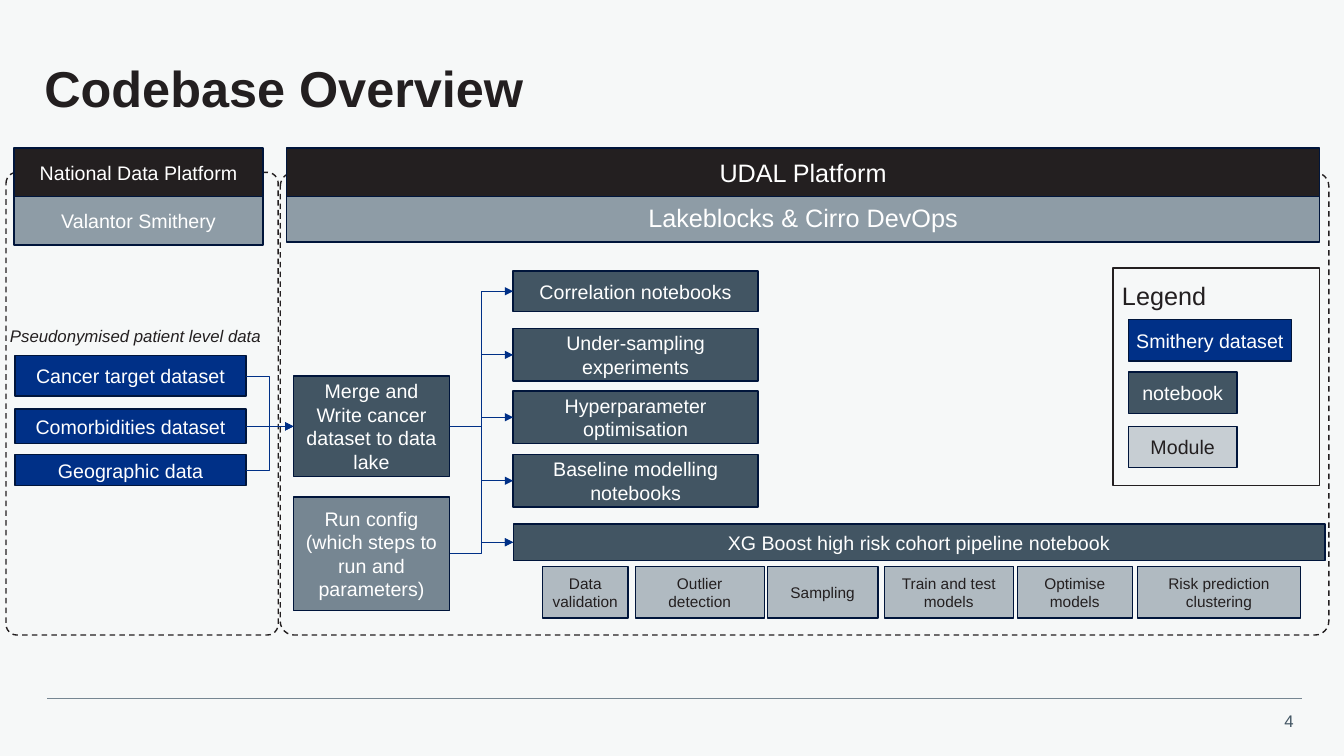
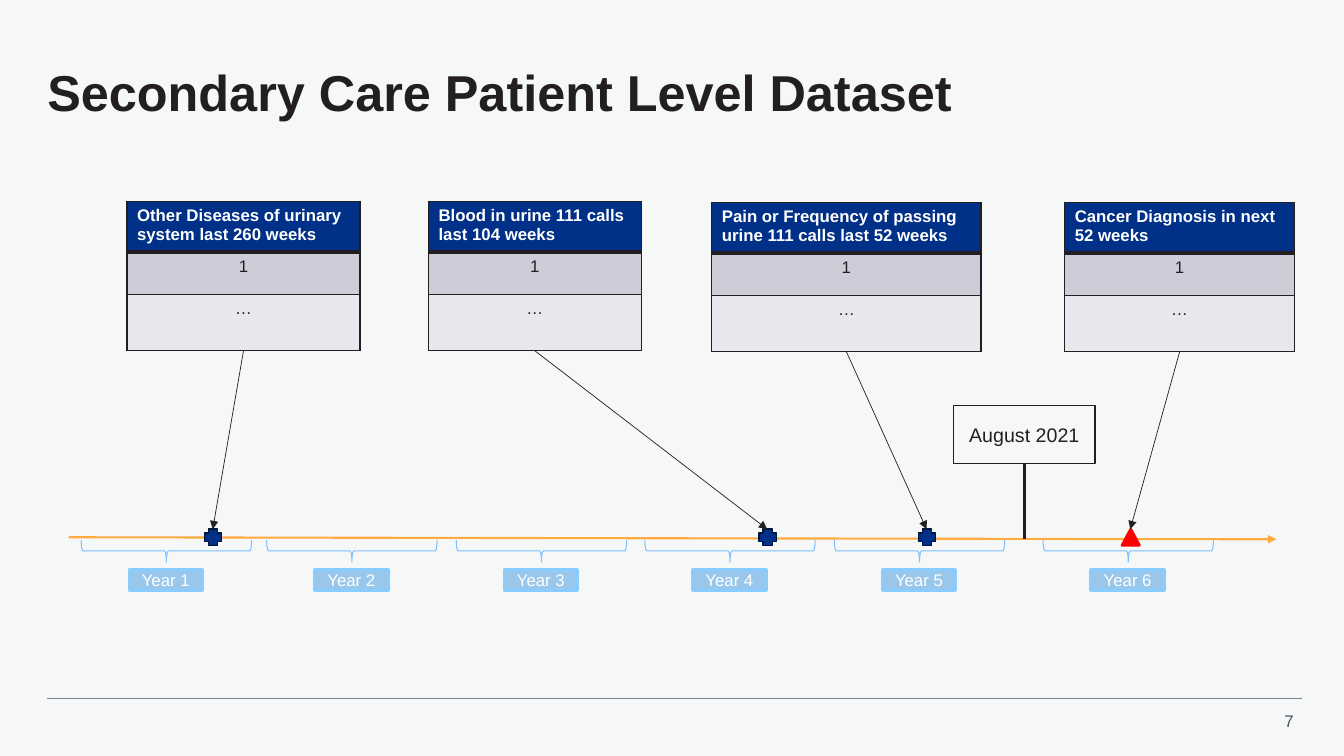
"""Builds two slides: a codebase overview and a patient dataset timeline."""
from dataclasses import dataclass

from pptx import Presentation
from pptx.dml.color import RGBColor
from pptx.enum.dml import MSO_LINE
from pptx.enum.shapes import MSO_CONNECTOR, MSO_SHAPE
from pptx.enum.text import MSO_ANCHOR, PP_ALIGN
from pptx.oxml.ns import qn
from pptx.oxml.xmlchemy import OxmlElement
from pptx.util import Inches, Pt

RECTANGLE = MSO_SHAPE.RECTANGLE
ROUNDED = MSO_SHAPE.ROUNDED_RECTANGLE
BRACE = MSO_SHAPE.RIGHT_BRACE
CROSS = MSO_SHAPE.CROSS
TRIANGLE = MSO_SHAPE.ISOSCELES_TRIANGLE
STRAIGHT = MSO_CONNECTOR.STRAIGHT
ELBOW = MSO_CONNECTOR.ELBOW
LEFT, CENTER, RIGHT = PP_ALIGN.LEFT, PP_ALIGN.CENTER, PP_ALIGN.RIGHT
MIDDLE, TOP = MSO_ANCHOR.MIDDLE, MSO_ANCHOR.TOP
DASH = MSO_LINE.DASH
SIDE_LEFT, SIDE_BOTTOM, SIDE_RIGHT = 1, 2, 3


@dataclass(frozen=True)
class Theme:
    font: str = "Arial"
    background: str = "F6F8F8"
    ink: str = "231F20"
    white: str = "FFFFFF"
    blue: str = "003087"
    outline: str = "00153B"
    slate: str = "425563"
    steel: str = "768692"
    band: str = "8E9CA6"
    module: str = "B0BAC1"
    legend_module: str = "C7CED3"
    axis: str = "FFAB40"
    year: str = "99C7EB"
    year_line: str = "89CCFF"
    brace: str = "7DBFFF"
    alert: str = "FF0000"
    row_dark: str = "CCCDD9"
    row_light: str = "E7E8ED"
    title_size: int = 36
    large: int = 18
    body: int = 14
    small: int = 12
    tiny: int = 11


THEME = Theme()


class Deck:
    """Holds the style and the current slide, and draws each kind of element."""

    def __init__(self, theme):
        self.theme = theme
        self.presentation = Presentation()
        self.presentation.slide_width = Inches(13.33)
        self.presentation.slide_height = Inches(7.5)
        fill = self.presentation.slide_master.background.fill
        fill.solid()
        fill.fore_color.rgb = RGBColor.from_string(theme.background)
        self.slide = None

    def start_slide(self, title, number, left, top):
        layout = self.presentation.slide_layouts[6]
        self.slide = self.presentation.slides.add_slide(layout)
        self.connector((0.47, 6.93), (12.91, 6.93), self.theme.steel, 0.5, arrow=False)
        self.label(number, (12.52, 7, 0.41, 0.3), self.theme.small,
                   self.theme.slate, align=RIGHT)
        heading = self.label(title, (left, top, 12.47, 0.95), self.theme.title_size,
                             bold=True, anchor=MIDDLE)
        frame = heading.text_frame
        frame.word_wrap = True
        frame.margin_left = frame.margin_right = 0
        frame.margin_top = frame.margin_bottom = 0
        frame.paragraphs[0].line_spacing = 0.9

    def set_text(self, frame, text, size, color, align, bold=False, italic=False):
        frame.text = text
        for paragraph in frame.paragraphs:
            paragraph.alignment = align
            for run in paragraph.runs:
                font = run.font
                font.name = self.theme.font
                font.size = Pt(size)
                font.bold = bold
                font.italic = italic
                font.color.rgb = RGBColor.from_string(color)

    def label(self, text, bounds, size, color=None, align=LEFT, bold=False,
              italic=False, anchor=TOP):
        shape = self.slide.shapes.add_textbox(*map(Inches, bounds))
        shape.text_frame.word_wrap = False
        shape.text_frame.vertical_anchor = anchor
        self.set_text(shape.text_frame, text, size, color or self.theme.ink,
                      align, bold, italic)
        return shape

    def shape(self, kind, bounds, fill=None, line=None, width=1):
        shape = self.slide.shapes.add_shape(kind, *map(Inches, bounds))
        shape.shadow.inherit = False
        if fill:
            shape.fill.solid()
            shape.fill.fore_color.rgb = RGBColor.from_string(fill)
        else:
            shape.fill.background()
        shape.line.color.rgb = RGBColor.from_string(line or self.theme.outline)
        shape.line.width = Pt(width)
        return shape

    def box(self, text, bounds, fill=None, size=None, color=None, line=None, width=1):
        shape = self.shape(RECTANGLE, bounds, fill, line, width)
        shape.text_frame.word_wrap = True
        shape.text_frame.vertical_anchor = MIDDLE
        self.set_text(shape.text_frame, text, size or self.theme.body,
                      color or self.theme.white, CENTER)
        return shape

    def zone(self, bounds, rounding):
        shape = self.shape(ROUNDED, bounds, line=self.theme.ink)
        shape.adjustments[0] = rounding
        shape.line.dash_style = DASH

    def connector(self, start, end, color, width, arrow=True, kind=STRAIGHT):
        line = self.slide.shapes.add_connector(kind, *map(Inches, (*start, *end)))
        line.line.color.rgb = RGBColor.from_string(color)
        line.line.width = Pt(width)
        properties = line.element.spPr
        if arrow:
            head = OxmlElement("a:tailEnd")
            head.set("type", "triangle")
            properties.find(qn("a:ln")).append(head)
        properties.append(OxmlElement("a:effectLst"))
        return line

    def link(self, source, target):
        line = self.connector((0, 0), (1, 1), self.theme.blue, 0.5, kind=ELBOW)
        line.begin_connect(source, SIDE_RIGHT)
        line.end_connect(target, SIDE_LEFT)

    def border(self, cell, widths):
        properties = cell._tc.get_or_add_tcPr()
        for side, width in zip("LRTB", widths):
            line = OxmlElement(f"a:ln{side}")
            line.set("w", str(Pt(width)))
            fill = OxmlElement("a:solidFill")
            color = OxmlElement("a:srgbClr")
            color.set("val", self.theme.ink)
            fill.append(color)
            line.append(fill)
            properties.append(line)

    def feature_table(self, heading, left, top, width):
        theme = self.theme
        heights = (0.48, 0.42, 0.56)
        frame = self.slide.shapes.add_table(
            3, 1, *map(Inches, (left, top, width, sum(heights))))
        table = frame.table
        table.horz_banding = False
        rows = (
            (heading, theme.blue, theme.white, LEFT, True, (1, 1, 1, 3)),
            ("1", theme.row_dark, theme.ink, CENTER, False, (1, 1, 3, 1)),
            ("…", theme.row_light, theme.ink, CENTER, False, (1, 1, 1, 1)),
        )
        for index, (text, fill, color, align, bold, widths) in enumerate(rows):
            table.rows[index].height = Inches(heights[index])
            cell = table.cell(index, 0)
            self.border(cell, widths)
            cell.fill.solid()
            cell.fill.fore_color.rgb = RGBColor.from_string(fill)
            self.set_text(cell.text_frame, text, theme.small, color, align, bold)

    def year(self, number, center):
        theme = self.theme
        self.box(f"Year {number}", (center - 0.37, 5.65, 0.73, 0.21), theme.year,
                 theme.small, line=theme.year_line, width=2)
        brace = self.shape(BRACE, (center - 0.11, 4.62, 0.22, 1.69),
                           line=theme.brace, width=0.75)
        brace.rotation = 90


def build_overview(deck):
    theme = deck.theme
    deck.start_slide("Codebase Overview", "4", 0.44, 0.43)
    deck.zone((0.06, 1.71, 2.7, 4.59), 0.04)
    deck.zone((2.78, 1.71, 10.4, 4.59), 0.03)

    platforms = (
        ("National Data Platform", "Valantor Smithery", 0.14, 2.47, 1.95, theme.body),
        ("UDAL Platform", "Lakeblocks & Cirro DevOps", 2.84, 10.25, 1.92, theme.large),
    )
    for name, tools, left, width, tools_top, size in platforms:
        deck.box(tools, (left, tools_top, width, 0.48), theme.band, size)
        deck.box(name, (left, 1.47, width, 0.48), theme.ink, size)

    deck.label("Pseudonymised patient level data", (0, 3.18, 2.71, 0.3),
               theme.small, italic=True)
    merge = deck.box("Merge and Write cancer dataset to data lake",
                     (2.91, 3.73, 1.55, 1), theme.slate)
    config = deck.box("Run config\n(which steps to run and parameters)",
                      (2.91, 4.93, 1.55, 1.13), theme.steel)

    datasets = (
        ("Cancer target dataset", 3.53, 0.4),
        ("Comorbidities dataset", 4.06, 0.34),
        ("Geographic data", 4.51, 0.31),
    )
    for text, top, height in datasets:
        deck.link(deck.box(text, (0.15, top, 2.29, height), theme.blue), merge)

    notebooks = (
        ("Correlation notebooks", 2.69, 2.43, 0.4),
        ("Under-sampling experiments", 3.26, 2.43, 0.52),
        ("Hyperparameter optimisation", 3.88, 2.43, 0.52),
        ("Baseline modelling notebooks", 4.51, 2.43, 0.52),
        ("XG Boost high risk cohort pipeline notebook", 5.2, 8.05, 0.36),
    )
    for text, top, width, height in notebooks:
        notebook = deck.box(text, (5.09, top, width, height), theme.slate)
        deck.link(merge, notebook)
    deck.link(config, notebook)

    modules = (
        ("Data validation", 5.38, 0.85),
        ("Outlier detection", 6.3, 1.28),
        ("Sampling", 7.61, 1.1),
        ("Train and test models", 8.77, 1.28),
        ("Optimise models", 10.09, 1.14),
        ("Risk prediction clustering", 11.28, 1.62),
    )
    for text, left, width in modules:
        deck.box(text, (left, 5.62, width, 0.51), theme.module, theme.tiny, theme.ink)

    deck.shape(RECTANGLE, (11.04, 2.66, 2.05, 2.16), line=theme.ink)
    deck.label("Legend", (11.03, 2.73, 1.04, 0.4), theme.large)
    legend = (
        ("Smithery dataset", 3.17, 1.62, theme.blue, theme.white),
        ("notebook", 3.69, 1.08, theme.slate, theme.white),
        ("Module", 4.23, 1.08, theme.legend_module, theme.ink),
    )
    for text, top, width, fill, color in legend:
        entry = deck.box(text, (11.19, top, width, 0.41), fill, color=color)
        entry.text_frame.margin_left = entry.text_frame.margin_right = Inches(0.05)


def build_timeline(deck):
    theme = deck.theme
    deck.start_slide("Secondary Care Patient Level Dataset", "7", 0.47, 0.47)
    deck.connector((0.68, 5.33), (12.66, 5.35), theme.axis, 1.5)
    for number, center in enumerate((1.65, 3.49, 5.37, 7.24, 9.12, 11.19), 1):
        deck.year(number, center)

    date_box = deck.box("August 2021", (9.46, 4.02, 1.4, 0.58),
                        color=theme.ink, line=theme.ink)
    stem = deck.connector((10.16, 4.6), (10.16, 5.35), theme.ink, 2.25, arrow=False)
    stem.begin_connect(date_box, SIDE_BOTTOM)

    event = (CROSS, theme.blue, theme.outline, 1)
    diagnosis = (TRIANGLE, theme.alert, theme.alert, 2)
    features = (
        ("Other Diseases of urinary system last 260 weeks", 1.26, 2, 2.31, 2.11, event),
        ("Blood in urine 111 calls last 104 weeks", 4.25, 2, 2.11, 7.61, event),
        ("Pain or Frequency of passing urine 111 calls last 52 weeks",
         7.06, 2.01, 2.67, 9.19, event),
        ("Cancer Diagnosis in next 52 weeks", 10.56, 2.01, 2.28, 11.21, diagnosis),
    )
    for heading, left, top, width, marker, (kind, fill, line, weight) in features:
        deck.feature_table(heading, left, top, width)
        deck.shape(kind, (marker - 0.08, 5.25, 0.17, 0.16), fill, line, weight)
        deck.connector((left + width / 2, top + 1.48), (marker, 5.25), theme.ink, 0.5)


def main():
    deck = Deck(THEME)
    build_overview(deck)
    build_timeline(deck)
    deck.presentation.save("out.pptx")


if __name__ == "__main__":
    main()
